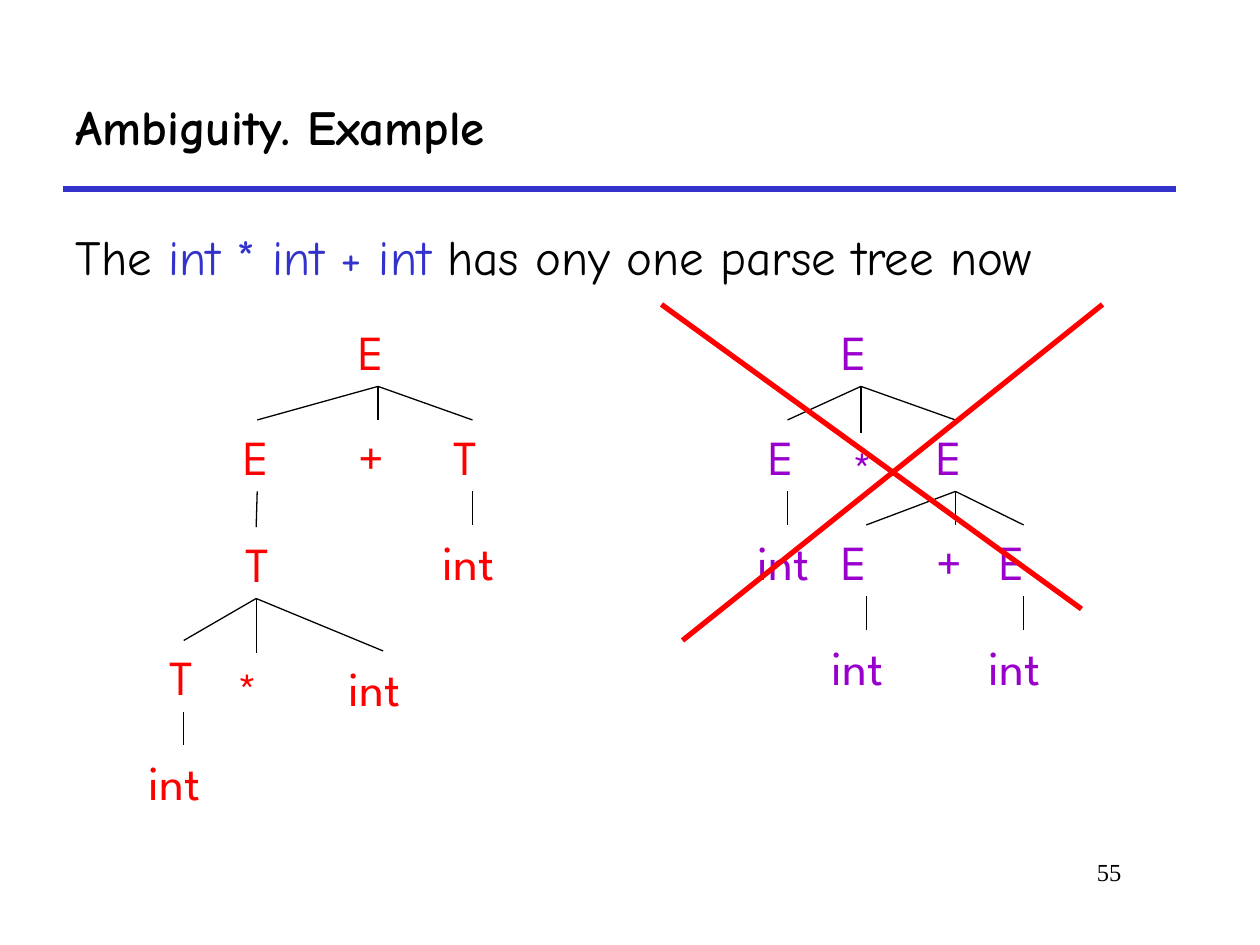
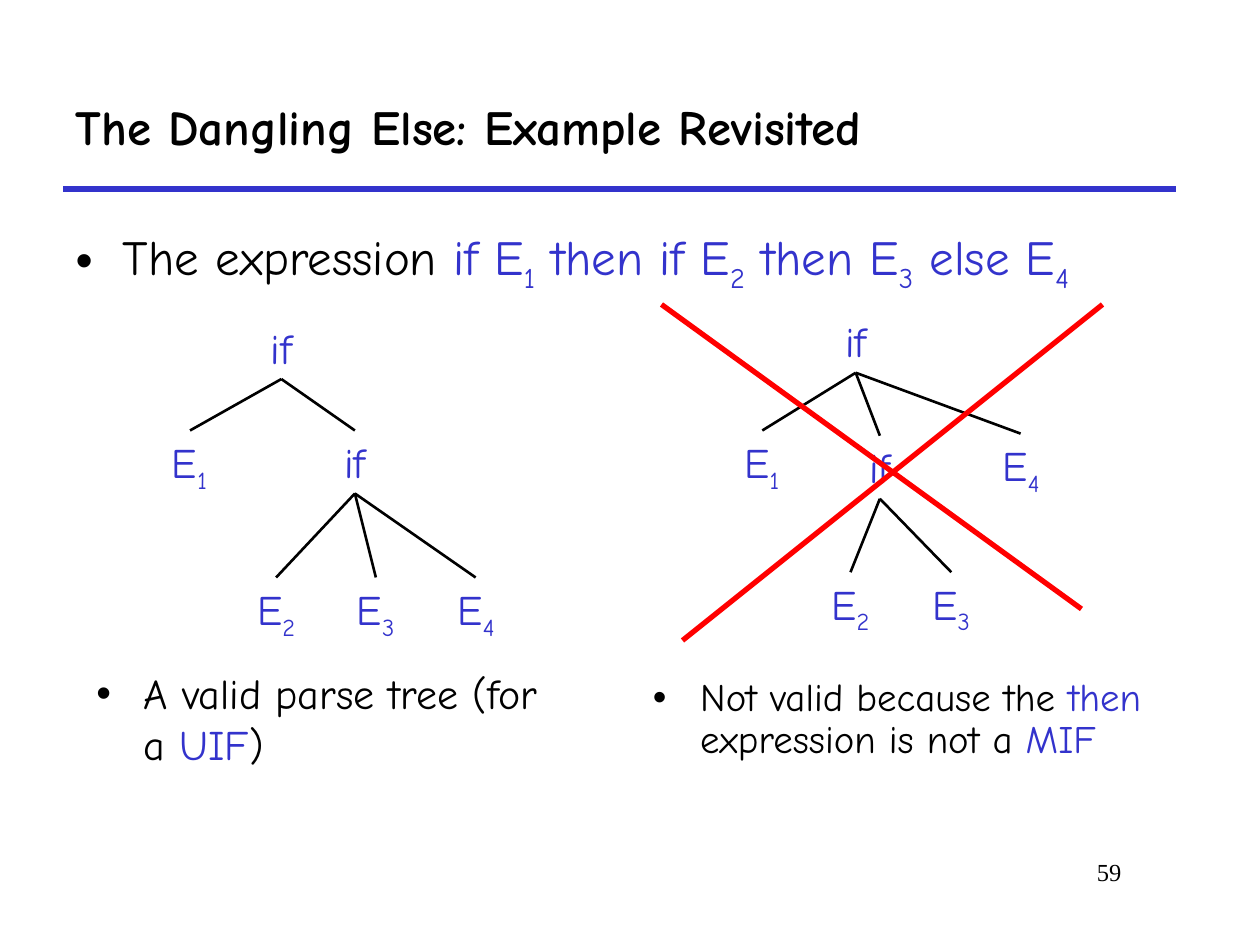
from dataclasses import dataclass

from lxml.etree import SubElement
from pptx import Presentation
from pptx.dml.color import RGBColor
from pptx.enum.shapes import MSO_CONNECTOR as Connector
from pptx.enum.text import MSO_ANCHOR as Anchor, MSO_AUTO_SIZE as AutoSize, PP_ALIGN as Align
from pptx.oxml.ns import qn
from pptx.util import Emu, Pt

EMU_PER_PX = 7620  # 120 px to the inch
BLACK = RGBColor(0x00, 0x00, 0x00)
BLUE = RGBColor(0x33, 0x33, 0xCC)
RED = RGBColor(0xFF, 0x00, 0x00)
PURPLE = RGBColor(0x99, 0x00, 0xCC)
TEXT_FONT, SYMBOL_FONT, NUMBER_FONT = "Comic Neue", "League Spartan", "Times New Roman"
HANGING_INDENT = 45
BOTTOM, TOP = 2, 0


@dataclass
class Node:
    """A tree symbol; an underscore pair in the label encloses a subscript."""
    label: str
    left: int
    top: int
    width: int
    children: tuple = ()


@dataclass
class TreeStyle:
    font: str
    size: int
    color: RGBColor
    node_height: int
    branch_pt: float
    wrap: bool


LEFT_SUM = TreeStyle(SYMBOL_FONT, 28, RED, 68, 0.75, True)
RIGHT_SUM = TreeStyle(SYMBOL_FONT, 28, PURPLE, 68, 0.75, True)
CONDITIONAL = TreeStyle(TEXT_FONT, 24, BLUE, 60, 1.5, False)

PRODUCT_INSIDE_SUM = Node("E", 330, 300, 60, (
    Node("E", 220, 400, 50, (
        Node("T", 222, 502, 44, (
            Node("T", 150, 610, 50, (Node("int", 130, 710, 90),)),
            Node("*", 214, 622, 60),
            Node("int", 320, 620, 90))),)),
    Node("+", 330, 400, 60),
    Node("T", 420, 400, 60, (Node("int", 410, 500, 80),))))

SUM_INSIDE_PRODUCT = Node("E", 790, 300, 60, (
    Node("E", 720, 400, 60, (Node("int", 710, 500, 80),)),
    Node("*", 800, 412, 40),
    Node("E", 880, 400, 60, (
        Node("E", 790, 500, 70, (Node("int", 780, 600, 90),)),
        Node("+", 880, 500, 60),
        Node("E", 940, 500, 70, (Node("int", 930, 600, 90),))))))

ELSE_WITH_INNER_IF = Node("if", 246, 301, 44, (
    Node("E_1_", 152, 410, 58),
    Node("if", 316, 410, 44, (
        Node("E_2_", 233, 550, 60),
        Node("E_3_", 328, 550, 60),
        Node("E_4_", 424, 550, 58)))))

ELSE_WITH_OUTER_IF = Node("if", 793, 295, 44, (
    Node("E_1_", 697, 410, 58),
    Node("if", 816, 415, 44, (
        Node("E_2_", 780, 545, 60),
        Node("E_3_", 876, 545, 60))),
    Node("E_4_", 943, 413, 58)))


def px(*lengths):
    return [Emu(length * EMU_PER_PX) for length in lengths]


def add_text(paragraph, text, color, size, font=TEXT_FONT, bold=False):
    """Add runs; the parts between underscore pairs become subscripts."""
    for index, part in enumerate(text.split("_")):
        if not part:
            continue
        run = paragraph.add_run()
        run.text = part
        run.font.name, run.font.size, run.font.bold = font, Pt(size), bold
        run.font.color.rgb = color
        if index % 2:
            run._r.get_or_add_rPr().set("baseline", "-25000")


def format_list_item(paragraph, bulleted, space_before):
    paragraph.space_before = Pt(space_before)
    properties = paragraph._p.get_or_add_pPr()
    indent = HANGING_INDENT * EMU_PER_PX
    properties.set("marL", str(indent))
    properties.set("indent", str(-indent))
    if not bulleted:
        SubElement(properties, qn("a:buNone"))
        return
    bullet_color = SubElement(properties, qn("a:buClr"))
    SubElement(bullet_color, qn("a:srgbClr")).set("val", str(BLACK))
    SubElement(properties, qn("a:buFont")).set("typeface", "Arial")
    SubElement(properties, qn("a:buChar")).set("char", "•")


def place(placeholder, *box):
    placeholder.left, placeholder.top, placeholder.width, placeholder.height = px(*box)
    placeholder.text_frame.auto_size = AutoSize.NONE
    return placeholder.text_frame


def add_box(slide, *box, wrap=True):
    label = slide.shapes.add_textbox(*px(*box))
    label.text_frame.word_wrap = wrap
    label.text_frame.auto_size = AutoSize.NONE
    return label


def add_line(slide, start, end, color, weight):
    line = slide.shapes.add_connector(Connector.STRAIGHT, *px(*start, *end))
    line.line.color.rgb = color
    line.line.width = Pt(weight)
    SubElement(line._element.spPr, qn("a:effectLst"))
    return line


def add_statement(frame, phrases, size, bulleted=True, space_before=6):
    statement = frame.paragraphs[0]
    format_list_item(statement, bulleted, space_before)
    for text, color in phrases:
        add_text(statement, text, color, size)
    return statement


def add_tree(slide, node, style):
    """Draw a node and its subtrees, and return the node's text box."""
    parent = add_box(slide, node.left, node.top, node.width, style.node_height, wrap=style.wrap)
    add_text(parent.text_frame.paragraphs[0], node.label, style.color, style.size, style.font)
    for child_node in node.children:
        child = add_tree(slide, child_node, style)
        branch = add_line(slide, (0, 0), (0, 0), BLACK, style.branch_pt)
        branch.begin_connect(parent, BOTTOM)
        branch.end_connect(child, TOP)
    return parent


def cross_out_right_tree(slide):
    add_line(slide, (630, 290), (1030, 580), RED, 3)
    add_line(slide, (650, 610), (1050, 290), RED, 3)


def add_page(deck, heading, number, phrases, body_height, bulleted):
    """Add a slide with its title, rule, page number and leading statement."""
    slide = deck.slides.add_slide(deck.slide_layouts[1])
    add_line(slide, (60, 180), (1120, 180), BLUE, 3)

    title = place(slide.shapes.title, 60, 60, 1060, 120)
    title.vertical_anchor = Anchor.MIDDLE
    title.paragraphs[0].alignment = Align.LEFT
    add_text(title.paragraphs[0], heading, BLACK, 28, bold=True)

    body = place(slide.placeholders[1], 60, 210, 1090, body_height)
    add_statement(body, phrases, 28, bulleted, space_before=7)

    page_number = add_box(slide, 910, 810, 170, 60).text_frame.paragraphs[0]
    page_number.alignment = Align.RIGHT
    add_text(page_number, number, BLACK, 14, NUMBER_FONT)
    return slide


def add_ambiguity_page(deck):
    phrases = [("The ", BLACK), ("int * int + int", BLUE),
               (" has ony one parse tree now", BLACK)]
    slide = add_page(deck, "Ambiguity. Example", "55", phrases, 580, bulleted=False)
    add_tree(slide, SUM_INSIDE_PRODUCT, RIGHT_SUM)
    add_tree(slide, PRODUCT_INSIDE_SUM, LEFT_SUM)
    cross_out_right_tree(slide)


def add_dangling_else_page(deck):
    phrases = [("The expression ", BLACK),
               ("if E_1_ then if E_2_ then E_3_ else E_4_", BLUE)]
    slide = add_page(deck, "The Dangling Else: Example Revisited", "59", phrases, 80, bulleted=True)
    add_tree(slide, ELSE_WITH_INNER_IF, CONDITIONAL)
    add_tree(slide, ELSE_WITH_OUTER_IF, CONDITIONAL)

    rejection = add_box(slide, 610, 640, 500, 150).text_frame
    add_statement(rejection, [("Not valid because the ", BLACK), ("then", BLUE),
                              (" expression is not a ", BLACK), ("MIF", BLUE)],
                  22.2).line_spacing = 0.9
    approval = add_box(slide, 80, 630, 460, 140).text_frame
    add_statement(approval, [("A valid parse tree (for a ", BLACK), ("UIF", BLUE),
                             (")", BLACK)], 24)
    cross_out_right_tree(slide)


def main():
    deck = Presentation()
    deck.slide_width, deck.slide_height = px(1200, 900)
    add_ambiguity_page(deck)
    add_dangling_else_page(deck)
    deck.save("out.pptx")


if __name__ == "__main__":
    main()
